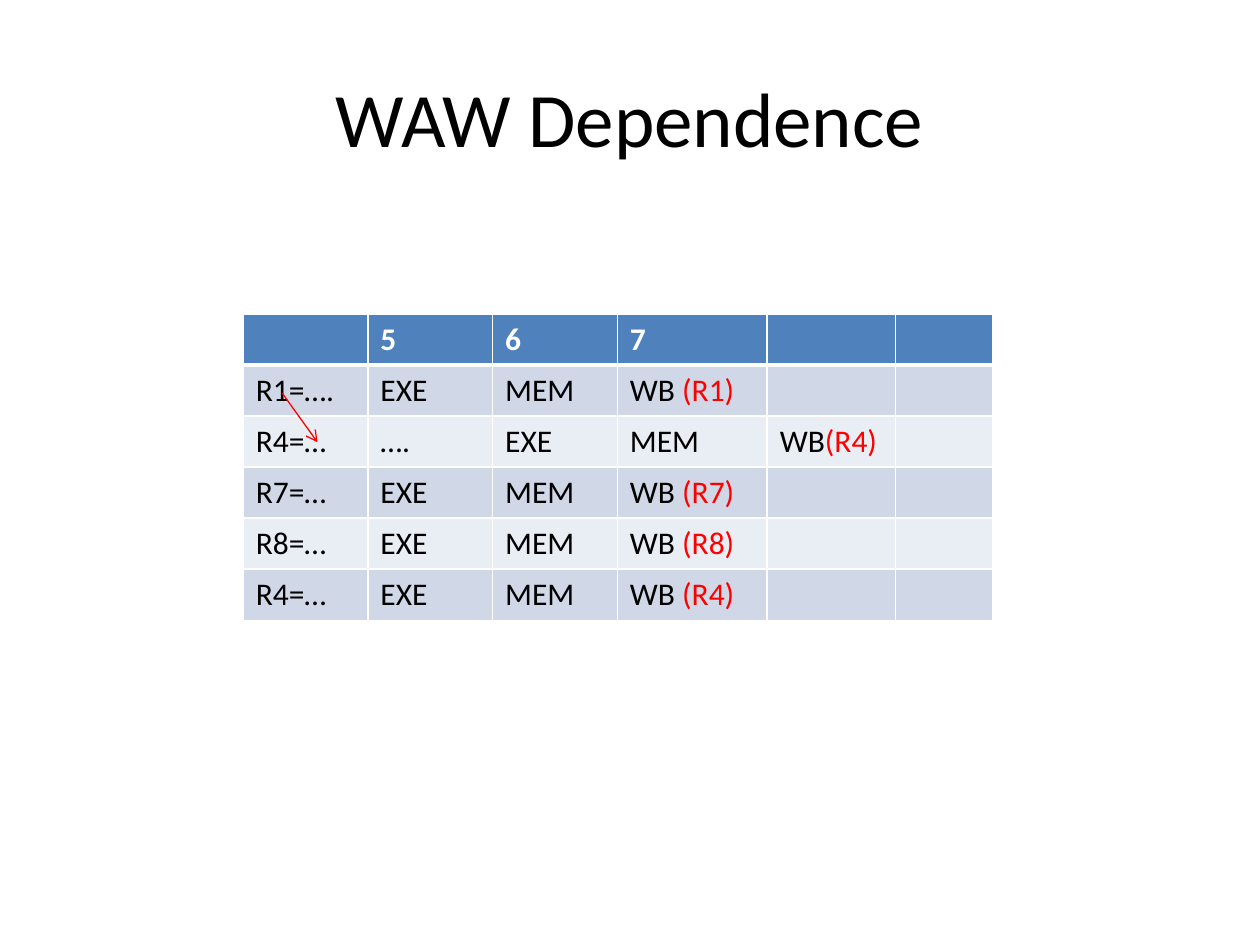
from lxml.etree import SubElement
from pptx import Presentation
from pptx.dml.color import RGBColor
from pptx.enum.shapes import MSO_CONNECTOR
from pptx.enum.text import MSO_ANCHOR, PP_ALIGN
from pptx.oxml.ns import qn
from pptx.util import Inches, Pt

# Content
TITLE = "WAW Dependence"
ROWS = [
    ("", "5", "6", "7", "", ""),
    ("R1=….", "EXE", "MEM", "WB (R1)", "", ""),
    ("R4=…", "….", "EXE", "MEM", "WB(R4)", ""),
    ("R7=…", "EXE", "MEM", "WB (R7)", "", ""),
    ("R8=…", "EXE", "MEM", "WB (R8)", "", ""),
    ("R4=…", "EXE", "MEM", "WB (R4)", "", ""),
]
COLUMN_WIDTHS = (0.99, 0.99, 0.99, 1.19, 1.02, 0.77)

# Style
FONT = "Calibri"
BLACK = RGBColor(0x00, 0x00, 0x00)
WHITE = RGBColor(0xFF, 0xFF, 0xFF)
RED = RGBColor(0xFF, 0x00, 0x00)
HEADER = RGBColor(0x4F, 0x81, 0xBD)
BANDS = (RGBColor(0xE9, 0xED, 0xF4), RGBColor(0xD0, 0xD8, 0xE8))


def add_text(para, text, size=18, color=BLACK, bold=False):
    span = para.add_run()
    span.text = text
    span.font.name = FONT
    span.font.size = Pt(size)
    span.font.bold = bold
    span.font.color.rgb = color


def set_borders(cell, **widths):
    """Draw white borders; they must precede the fill in the cell's XML."""
    properties = cell._tc.get_or_add_tcPr()
    for side in "LRTB":
        line = SubElement(properties, qn(f"a:ln{side}"), w=str(Pt(widths.get(side, 1))))
        fill = SubElement(line, qn("a:solidFill"))
        SubElement(fill, qn("a:srgbClr"), val=str(WHITE))


deck = Presentation()
deck.slide_width, deck.slide_height = Inches(10), Inches(7.5)
page = deck.slides.add_slide(deck.slide_layouts[5])

# Title
title = page.shapes.title
title.left, title.top = Inches(0.5), Inches(0.3)
title.width, title.height = Inches(9), Inches(1.25)
title.text_frame.vertical_anchor = MSO_ANCHOR.MIDDLE
para = title.text_frame.paragraphs[0]
para.alignment = PP_ALIGN.CENTER
add_text(para, TITLE, size=44)

# Pipeline table, with the written registers in red
table = page.shapes.add_table(len(ROWS), len(COLUMN_WIDTHS), Inches(1.93), Inches(2.49),
                              Inches(sum(COLUMN_WIDTHS)), Inches(2.43)).table
for column, width in zip(table.columns, COLUMN_WIDTHS):
    column.width = Inches(width)
for r, row in enumerate(ROWS):
    header = r == 0
    for c, text in enumerate(row):
        cell = table.cell(r, c)
        set_borders(cell, T=3 if r == 1 else 1, B=3 if header else 1)
        cell.fill.solid()
        cell.fill.fore_color.rgb = HEADER if header else BANDS[r % 2]
        stage, bracket, register = text.partition("(")
        para = cell.text_frame.paragraphs[0]
        if stage:
            add_text(para, stage, color=WHITE if header else BLACK, bold=header)
        if register:
            add_text(para, bracket + register, color=RED)

# Dependence arrow
arrow = page.shapes.add_connector(MSO_CONNECTOR.STRAIGHT, Inches(2.24), Inches(3.12),
                                  Inches(2.52), Inches(3.51))
arrow.line.color.rgb = RED
arrow.line.width = Pt(0.75)
SubElement(arrow.line._get_or_add_ln(), qn("a:tailEnd"), type="arrow")
SubElement(arrow._element.spPr, qn("a:effectLst"))

deck.save("out.pptx")
